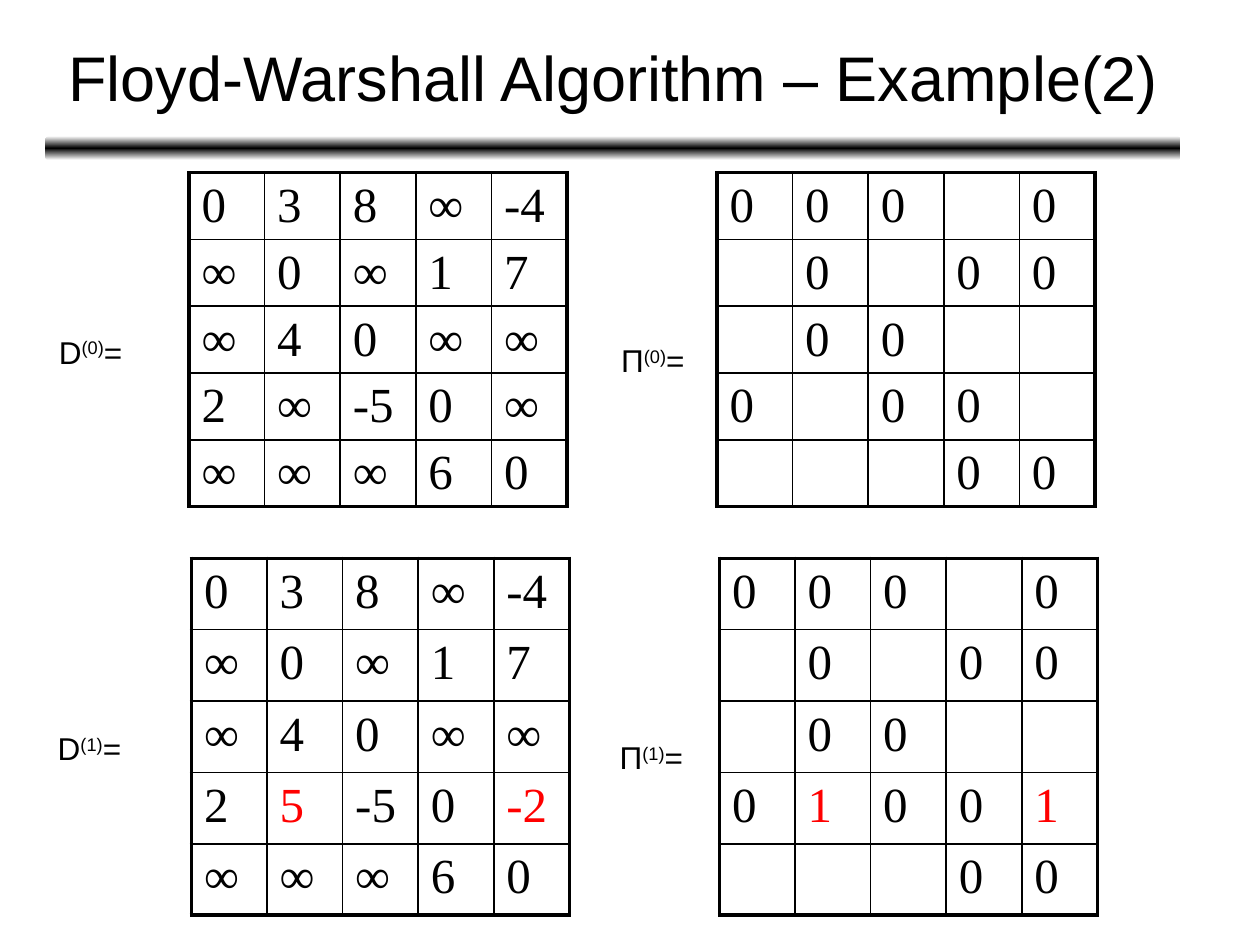
from lxml import etree
from pptx import Presentation
from pptx import util as u
from pptx.dml import color
from pptx.enum import shapes, text
from pptx.oxml import ns

Pt = u.Pt
BLACK, WHITE, RED = "000000", "FFFFFF", "FF0000"
CELL = 43.2
D0 = ["0 3 8 ∞ -4", "∞ 0 ∞ 1 7", "∞ 4 0 ∞ ∞", "2 ∞ -5 0 ∞", "∞ ∞ ∞ 6 0"]
D1 = D0[:3] + ["2 *5 -5 0 *-2"] + D0[4:]
P0 = ["0 0 0 . 0", ". 0 . 0 0", ". 0 0 . .", "0 . 0 0 .", ". . . 0 0"]
P1 = P0[:3] + ["0 *1 0 0 *1"] + P0[4:]
MATRICES = [
    (D0, 108, 98.6, 38.2), (P0, 409.7, 98.6, 38.2),
    (D1, 109.4, 319, 40.8), (P1, 411.1, 319, 40.8),
]
LABELS = [
    ("Π", "(0)", 347.8, 191.5, 64.1), ("D", "(0)", 26.6, 186.5, 60.5),
    ("Π", "(1)", 347, 418.3, 64.1), ("D", "(1)", 25.9, 413.3, 60.5),
]


def rgb(value):
    """Return the colour for a hex string."""
    return color.RGBColor.from_string(value)


def set_all(obj, **values):
    """Set several attributes of one object."""
    for name, value in values.items():
        setattr(obj, name, value)


def add_run(p, content, size, font, fill=BLACK):
    """Append a formatted run to a paragraph."""
    r = p.add_run()
    r.text = content
    set_all(r.font, size=Pt(size), name=font)
    r.font.color.rgb = rgb(fill)
    return r


def add_title(slide, content):
    """Place and fill the title placeholder."""
    sp = slide.shapes.title
    set_all(sp, left=Pt(26.6), top=Pt(7.9), width=Pt(648), height=Pt(71.3))
    tf = sp.text_frame
    set_all(tf, vertical_anchor=text.MSO_ANCHOR.MIDDLE, word_wrap=True)
    p = tf.paragraphs[0]
    p.alignment = text.PP_ALIGN.CENTER
    add_run(p, content, 36, "Arial")


def add_rule(slide):
    """Draw the rounded bar that fades at its upper and lower edges."""
    sp = slide.shapes.add_shape(
        shapes.MSO_SHAPE.ROUNDED_RECTANGLE, Pt(25.9), Pt(77.8), Pt(648.7), Pt(13.7))
    sp.shadow.inherit = False
    sp.line.fill.background()
    sp.fill.gradient()
    sp.fill.gradient_angle = 270
    stops = sp.fill._fill._gradFill.find(ns.qn("a:gsLst"))
    for stop in list(stops):
        stops.remove(stop)
    for pos, value in ((0, WHITE), (50, BLACK), (100, WHITE)):
        stop = etree.SubElement(stops, ns.qn("a:gs"), pos=str(pos * 1000))
        etree.SubElement(stop, ns.qn("a:srgbClr"), val=value)


def add_label(slide, name, index, x, y, width):
    """Write a matrix name with its superscript index."""
    tf = slide.shapes.add_textbox(Pt(x), Pt(y), Pt(width), Pt(28.8)).text_frame
    set_all(tf, word_wrap=True, auto_size=text.MSO_AUTO_SIZE.SHAPE_TO_FIT_TEXT)
    p = tf.paragraphs[0]
    add_run(p, name, 18, "Arial")
    r = add_run(p, index, 18, "Arial")
    r.font._element.set("baseline", "30000")
    add_run(p, "=", 18, "Arial")


def set_borders(cell, edges):
    """Give a cell its left, right, top and bottom lines."""
    tc_pr = cell._tc.get_or_add_tcPr()
    for i, (side, outer) in enumerate(edges):
        width = Pt(2.25 if outer else 1)
        ln = etree.Element(ns.qn(f"a:ln{side}"), w=str(int(width)))
        fill = etree.SubElement(ln, ns.qn("a:solidFill"))
        etree.SubElement(fill, ns.qn("a:srgbClr"), val=BLACK)
        tc_pr.insert(i, ln)


def add_matrix(slide, rows, x, y, row_height):
    """Add a square table; a dot is an empty cell and a star marks red."""
    n = len(rows)
    table = slide.shapes.add_table(
        n, n, Pt(x), Pt(y), Pt(n * CELL), Pt(n * row_height)).table
    set_all(table, first_row=False, horz_banding=False)
    for i, row in enumerate(rows):
        table.rows[i].height = Pt(row_height)
        table.columns[i].width = Pt(CELL)
        for j, value in enumerate(row.split()):
            cell = table.cell(i, j)
            set_all(cell, margin_top=Pt(3.6), margin_bottom=Pt(2))
            cell.fill.background()
            set_borders(cell, (("L", j == 0), ("R", j == n - 1),
                               ("T", i == 0), ("B", i == n - 1)))
            if value != ".":
                fill = RED if value.startswith("*") else BLACK
                add_run(cell.text_frame.paragraphs[0], value.lstrip("*"),
                        28, "Times New Roman", fill)


def main():
    """Build the slide and save it."""
    prs = Presentation()
    set_all(prs, slide_width=Pt(720), slide_height=Pt(540))
    slide = prs.slides.add_slide(prs.slide_layouts[5])
    add_rule(slide)
    add_title(slide, "Floyd-Warshall Algorithm – Example(2)")
    for matrix in MATRICES:
        add_matrix(slide, *matrix)
    for label in LABELS:
        add_label(slide, *label)
    prs.save("out.pptx")


main()
